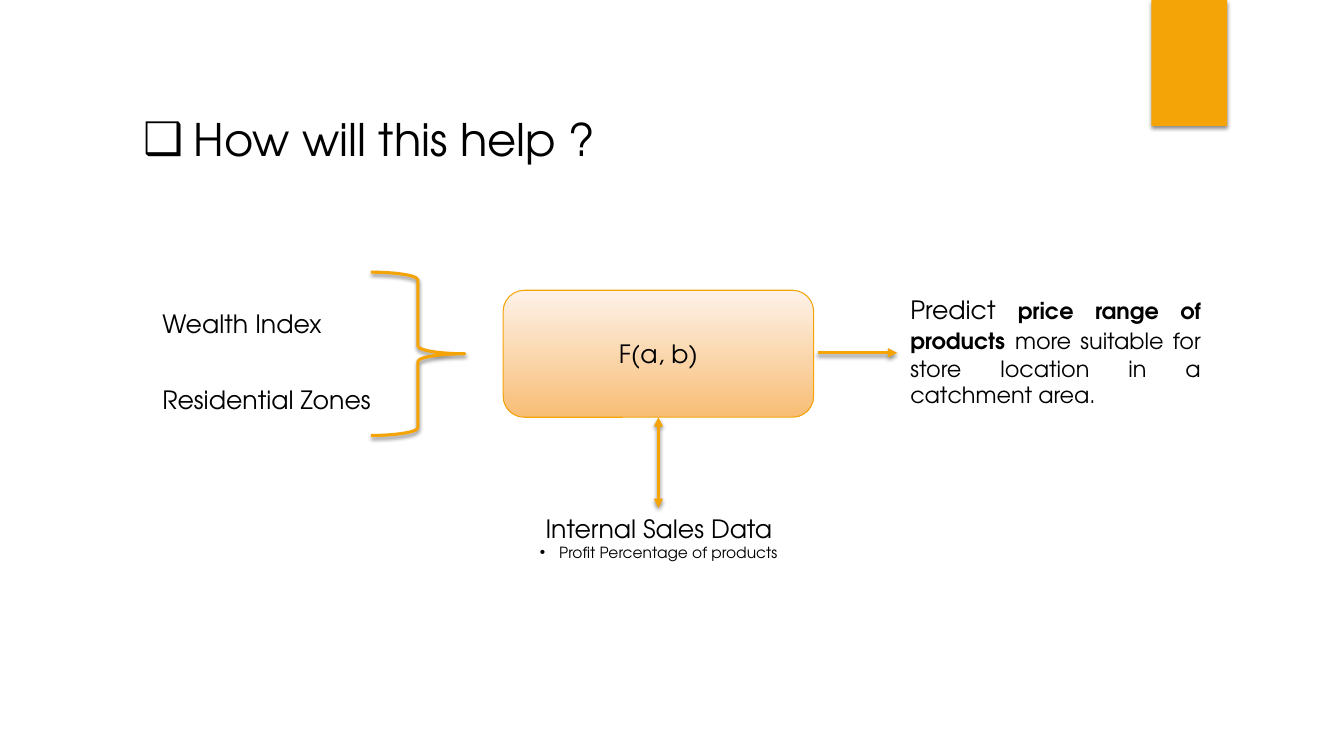
from dataclasses import dataclass

from lxml import etree
from pptx import Presentation
from pptx.dml.color import RGBColor
from pptx.enum import shapes, text
from pptx.oxml import ns

PX = 9144  # 100 px to the inch
Geo, Align = shapes.MSO_SHAPE, text.PP_ALIGN


@dataclass(frozen=True)
class Theme:
    font: str = "TeX Gyre Adventor"
    ink: RGBColor = RGBColor(0, 0, 0)
    gold: RGBColor = RGBColor(0xF5, 0xA4, 0x08)
    pale: RGBColor = RGBColor(0xFD, 0xF2, 0xE9)
    peach: RGBColor = RGBColor(0xF8, 0xBD, 0x75)
    title: int = 32
    main: int = 18
    body: int = 16
    note: int = 11
    thin: float = 0.75
    thick: float = 2.25


THEME = Theme()


def px(*sizes):
    return [round(size * PX) for size in sizes]


def pt(size):
    return round(size * 12700)


def sub(parent, tag, **attrs):
    node = etree.SubElement(parent, ns.qn("a:" + tag))
    for key, value in attrs.items():
        node.set(key, str(value))
    return node


def shade(shape):
    """Give a soft shadow that falls straight down."""
    cast = sub(sub(shape._element.spPr, "effectLst"), "outerShdw", blurRad=pt(3),
               dist=pt(2), dir=5400000, algn="ctr", rotWithShape=0)
    sub(sub(cast, "srgbClr", val=THEME.ink), "alpha", val=45000)


def place(shape, box):
    shape.left, shape.top, shape.width, shape.height = px(*box)


def setup(shape, anchor=text.MSO_ANCHOR.TOP):
    frame = shape.text_frame
    frame.word_wrap = True
    frame.auto_size = text.MSO_AUTO_SIZE.NONE
    frame.vertical_anchor = anchor
    return frame


def write(para, runs, align=Align.LEFT, mark=None, hang=0):
    """Fill a paragraph from (words, size, bold) runs, with an optional bullet."""
    props = para._p.get_or_add_pPr()
    indent, = px(hang)
    props.set("marL", str(indent))
    props.set("indent", str(-indent))
    if mark:
        sub(props, "buFont", typeface="Arial")
        sub(props, "buChar", char=mark)
    else:
        sub(props, "buNone")
    para.alignment = align
    para.space_before = 0
    for words, size, bold in runs:
        run = para.add_run()
        run.text = words
        font = run.font
        font.name, font.size, font.bold = THEME.font, pt(size), bold
        font.color.rgb = THEME.ink


def draw_tab(slide, box):
    tab = slide.shapes.add_shape(Geo.RECTANGLE, *px(*box))
    tab.fill.solid()
    tab.fill.fore_color.rgb = THEME.gold
    tab.line.fill.background()
    shade(tab)


def draw_title(slide, box):
    title = slide.shapes.title
    place(title, box)
    write(setup(title).paragraphs[0], [("How will this help ?", THEME.title, False)],
          mark="❑", hang=50)


def draw_inputs(slide, box):
    """List the inputs, gathered by a brace on their right."""
    left, top, _, _ = box
    holder = slide.placeholders[1]
    place(holder, box)
    frame = setup(holder)
    for i, name in enumerate(("Wealth Index", "Residential Zones")):
        para = frame.add_paragraph() if i else frame.paragraphs[0]
        write(para, [(name, THEME.main, False)])
        para.line_spacing = 2.5
    brace = slide.shapes.add_shape(Geo.RIGHT_BRACE, *px(left + 217, top + 14, 93, 162))
    brace.fill.background()
    brace.line.color.rgb = THEME.gold
    brace.line.width = pt(THEME.thick)
    shade(brace)


def draw_model(slide, box):
    model = slide.shapes.add_shape(Geo.ROUNDED_RECTANGLE, *px(*box))
    model.shadow.inherit = False
    model.fill.gradient()
    model.fill.gradient_angle = 270
    for stop, color in zip(model.fill.gradient_stops, (THEME.pale, THEME.peach)):
        stop.color.rgb = color
    model.line.color.rgb = THEME.gold
    model.line.width = pt(THEME.thin)
    frame = setup(model, text.MSO_ANCHOR.MIDDLE)
    write(frame.paragraphs[0], [("F(a, b)", THEME.main, False)], Align.CENTER)


def draw_sales(slide, box):
    holder = slide.placeholders[2]
    place(holder, box)
    frame = setup(holder)
    write(frame.paragraphs[0], [("Internal Sales Data", THEME.main, False)], Align.CENTER)
    write(frame.add_paragraph(), [("Profit Percentage of products", THEME.note, False)],
          Align.CENTER, mark="•", hang=19)


def draw_result(slide, box):
    frame = setup(slide.shapes.add_textbox(*px(*box)))
    write(frame.paragraphs[0], [
        ("Predict ", THEME.main, False),
        ("price range of products", THEME.body, True),
        (" ", THEME.main, False),
        ("more suitable for store location in a catchment area.", THEME.body, False),
    ], Align.JUSTIFY)


def draw_arrow(slide, start, end, ends=("tailEnd",)):
    arrow = slide.shapes.add_connector(shapes.MSO_CONNECTOR.STRAIGHT, *px(*start, *end))
    arrow.line.color.rgb = THEME.gold
    arrow.line.width = pt(THEME.thick)
    line = arrow._element.spPr.find(ns.qn("a:ln"))
    for tag in ends:
        sub(line, tag, type="triangle")
    shade(arrow)


def draw_flow(slide, box):
    """Lay out inputs, model, sales data and result around the model box."""
    left, top, width, height = box
    mid, right, base = left + width // 2, left + width, top + height
    draw_inputs(slide, (left - 348, top - 32, 464, 162))
    draw_sales(slide, (mid - 166, base + 90, 333, 89))
    draw_model(slide, box)
    draw_arrow(slide, (mid, base + 90), (mid, base), ("headEnd", "tailEnd"))
    draw_arrow(slide, (right + 4, top + 62), (right + 83, top + 62))
    draw_result(slide, (right + 86, top - 1, 308, 125))


def main():
    deck = Presentation()
    deck.slide_width, deck.slide_height = px(1333, 750)
    slide = deck.slides.add_slide(deck.slide_layouts.get_by_name("Two Content"))
    draw_tab(slide, (1142, 0, 75, 125))
    draw_title(slide, (132, 106, 589, 64))
    draw_flow(slide, (499, 288, 308, 126))
    deck.save("out.pptx")


if __name__ == "__main__":
    main()
